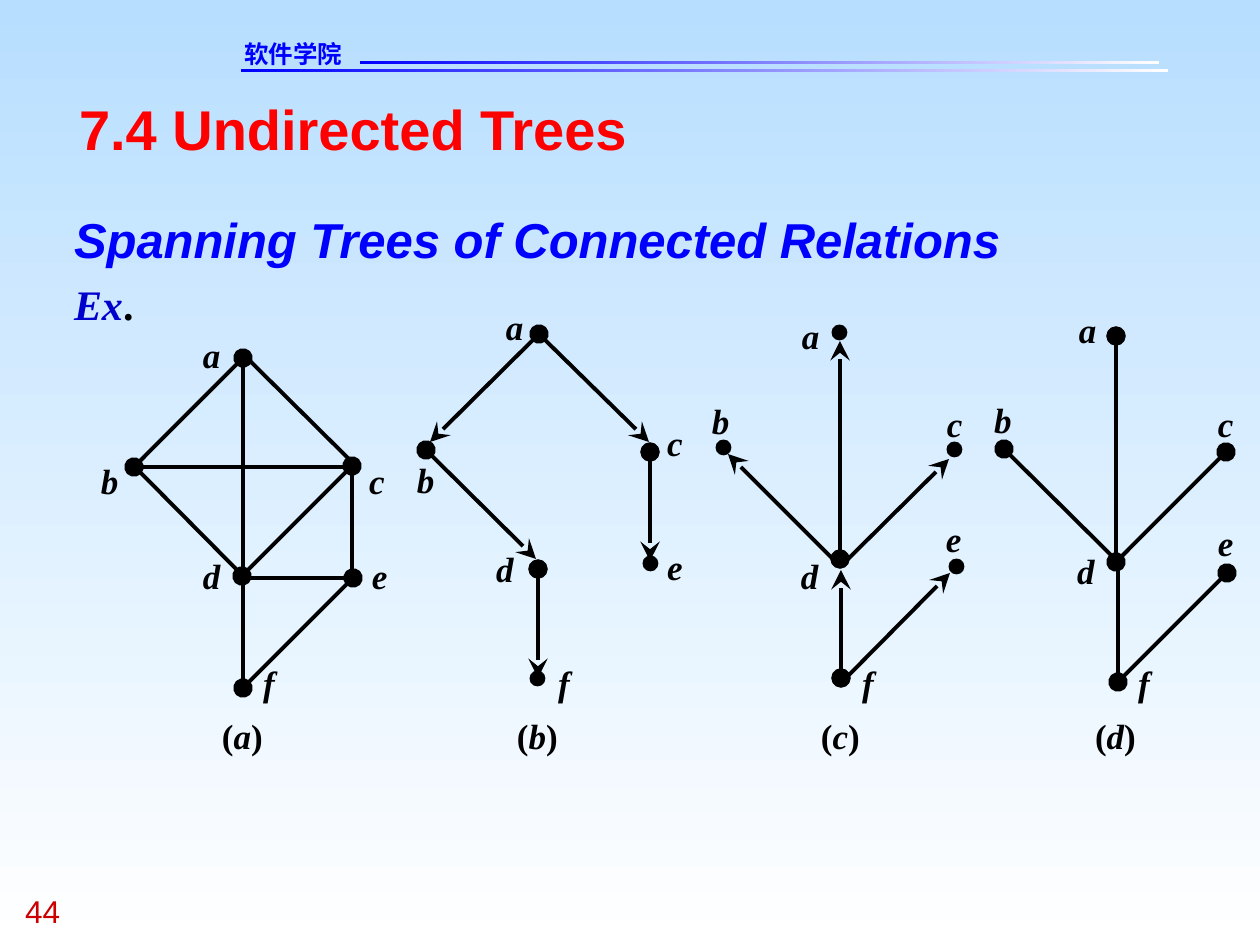
"""Build a slide of a connected relation and three of its spanning trees."""
from lxml import etree
from pptx import Presentation
from pptx.dml.color import RGBColor
from pptx.enum.shapes import MSO_CONNECTOR, MSO_SHAPE
from pptx.enum.text import MSO_ANCHOR
from pptx.oxml.ns import qn
from pptx.util import Emu, Pt

LINE, RECT, OVAL = MSO_CONNECTOR.STRAIGHT, MSO_SHAPE.RECTANGLE, MSO_SHAPE.OVAL
TOP = MSO_ANCHOR.TOP
BLACK, WHITE = RGBColor(0, 0, 0), RGBColor(255, 255, 255)
BLUE, NAVY = RGBColor(0, 0, 255), RGBColor(0, 0, 0xCC)
RED, BRICK = RGBColor(255, 0, 0), RGBColor(0xCC, 0, 0)
SKY = RGBColor(0xB7, 0xDE, 0xFF)
SANS, SERIF, HAN = "Arial", "Times New Roman", "DejaVu Sans"
DOT, ROW = 15, 42

TITLE = [[("7.4 Undirected Trees", SANS, 32, RED, True, False)]]
BODY = [
    [("Spanning Trees of Connected Relations", SANS, 28, BLUE, True, True)],
    [("Ex", SERIF, 24, NAVY, True, True), (".", SERIF, 24, BLACK, True, False)],
]
SCHOOL = [[("软件学院", HAN, 14, BLUE, True, False)]]
PAGE = [[("44", SANS, 18, BRICK, False, False)]]
RULES = [(241, 69, 927, 3), (360, 61, 799, 3)]

# Edges: x1, y1, x2, y2, head, tail. Names: places of a to f.
GRAPHS = [
    dict(name="a", tag=222, dots=[],
         edges=[(134, 467, 352, 467, "", ""), (134, 466, 243, 576, "", ""),
                (352, 466, 242, 576, "oval", "oval"), (247, 358, 357, 467, "", ""),
                (243, 358, 134, 467, "oval", "oval"), (243, 359, 243, 577, "", ""),
                (243, 580, 243, 689, "", ""), (352, 466, 352, 576, "", ""),
                (353, 578, 243, 688, "oval", "oval"), (243, 578, 353, 578, "", "")],
         names=[(203, 333), (101, 459), (369, 459), (203, 554), (372, 554), (263, 661)]),
    dict(name="b", tag=517, dots=[(530, 671), (643, 556)],
         edges=[(426, 450, 536, 559, "oval", "stealth"),
                (539, 334, 649, 442, "", "stealth"),
                (539, 334, 430, 442, "oval", "stealth"),
                (538, 569, 538, 678, "oval", "stealth"),
                (650, 452, 650, 561, "oval", "stealth")],
         names=[(506, 305), (417, 458), (667, 421), (496, 547), (667, 545), (558, 661)]),
    dict(name="c", tag=821, dots=[(949, 559), (947, 442), (832, 325), (716, 440)],
         edges=[(728, 454, 837, 563, "stealth", ""),
                (949, 459, 840, 567, "stealth", ""),
                (840, 341, 840, 559, "stealth", "oval"),
                (841, 570, 841, 678, "stealth", "oval"),
                (950, 573, 842, 682, "stealth", "")],
         names=[(802, 314), (712, 400), (947, 402), (801, 554), (946, 517), (862, 661)]),
    dict(name="d", tag=1095, dots=[],
         edges=[(1004, 449, 1114, 558, "oval", ""), (1226, 452, 1116, 562, "oval", "oval"),
                (1116, 336, 1116, 554, "oval", ""), (1118, 570, 1118, 678, "", ""),
                (1227, 573, 1118, 682, "oval", "oval")],
         names=[(1079, 308), (994, 398), (1218, 402), (1077, 549), (1218, 521), (1138, 661)]),
]


def px(n):
    return Emu(round(n * 914400 / 126))


def write(shape, paras, wrap=True, space=1.0):
    frame = shape.text_frame
    frame.word_wrap, frame.vertical_anchor = wrap, TOP
    frame.margin_left = frame.margin_right = 0
    frame.margin_top = frame.margin_bottom = 0
    for i, runs in enumerate(paras):
        para = frame.add_paragraph() if i else frame.paragraphs[0]
        props = para._p.get_or_add_pPr()
        props.set("marL", "0")
        props.set("indent", "0")
        props.set("algn", "l")
        etree.SubElement(props, qn("a:buNone"))
        para.line_spacing, para.space_before = space, Pt(0)
        for text, face, size, color, bold, slant in runs:
            run = para.add_run()
            run.text = text
            font = run.font
            font.name, font.size, font.bold, font.italic = face, Pt(size), bold, slant
            font.color.rgb = color


def place(shape, *box):
    shape.left, shape.top, shape.width, shape.height = map(px, box)
    return shape


def label(shapes, box, paras, wrap=False):
    write(shapes.add_textbox(*map(px, box)), paras, wrap)


def blend(fill, first, last, angle):
    fill.gradient()
    fill.gradient_angle = angle
    for stop, color, spot in zip(fill.gradient_stops, (first, last), (0, 1)):
        stop.color.rgb, stop.position = color, spot


def link(shapes, x1, y1, x2, y2, head, tail):
    edge = shapes.add_connector(LINE, px(x1), px(y1), px(x2), px(y2))
    edge.line.color.rgb, edge.line.width = BLACK, Pt(2.25)
    for tag, kind in (("a:headEnd", head), ("a:tailEnd", tail)):
        if kind:
            etree.SubElement(edge.line._get_or_add_ln(), qn(tag),
                             type=kind, w="lg", len="lg")
    etree.SubElement(edge._element.spPr, qn("a:effectLst"))


def draw(shapes, graph):
    group = shapes.add_group_shape().shapes
    for edge in graph["edges"]:
        link(group, *edge)
    for name, (x, y) in zip("abcdef", graph["names"]):
        label(group, (x, y, 20, ROW), [[(name, SERIF, 20, BLACK, True, True)]])
    for x, y in graph["dots"]:
        dot = group.add_shape(OVAL, px(x), px(y), px(DOT), px(DOT))
        dot.shadow.inherit = False
        dot.fill.solid()
        dot.fill.fore_color.rgb = dot.line.color.rgb = BLACK
        dot.line.width = Pt(0.5)
    parts = (("(", False), (graph["name"], True), (")", False))
    tag = [(text, SERIF, 20, BLACK, True, slant) for text, slant in parts]
    label(shapes, (graph["tag"], 715, 44, ROW), [tag])


def main():
    deck = Presentation()
    deck.slide_width, deck.slide_height = px(1260), px(945)
    slide = deck.slides.add_slide(deck.slide_layouts[1])
    shapes = slide.shapes
    blend(slide.background.fill, SKY, WHITE, 270)
    for box in RULES:
        rule = shapes.add_shape(RECT, *map(px, box))
        rule.shadow.inherit = False
        blend(rule.fill, BLUE, WHITE, 0)
        rule.line.fill.background()
    label(shapes, (244, 39, 183, 29), SCHOOL, True)
    label(shapes, (25, 892, 95, 38), PAGE, True)
    write(place(shapes.title, 79, 94, 1103, 67), TITLE)
    write(place(slide.placeholders[1], 74, 198, 1128, 131), BODY, space=1.2)
    for graph in GRAPHS:
        draw(shapes, graph)
    deck.save("out.pptx")


if __name__ == "__main__":
    main()
